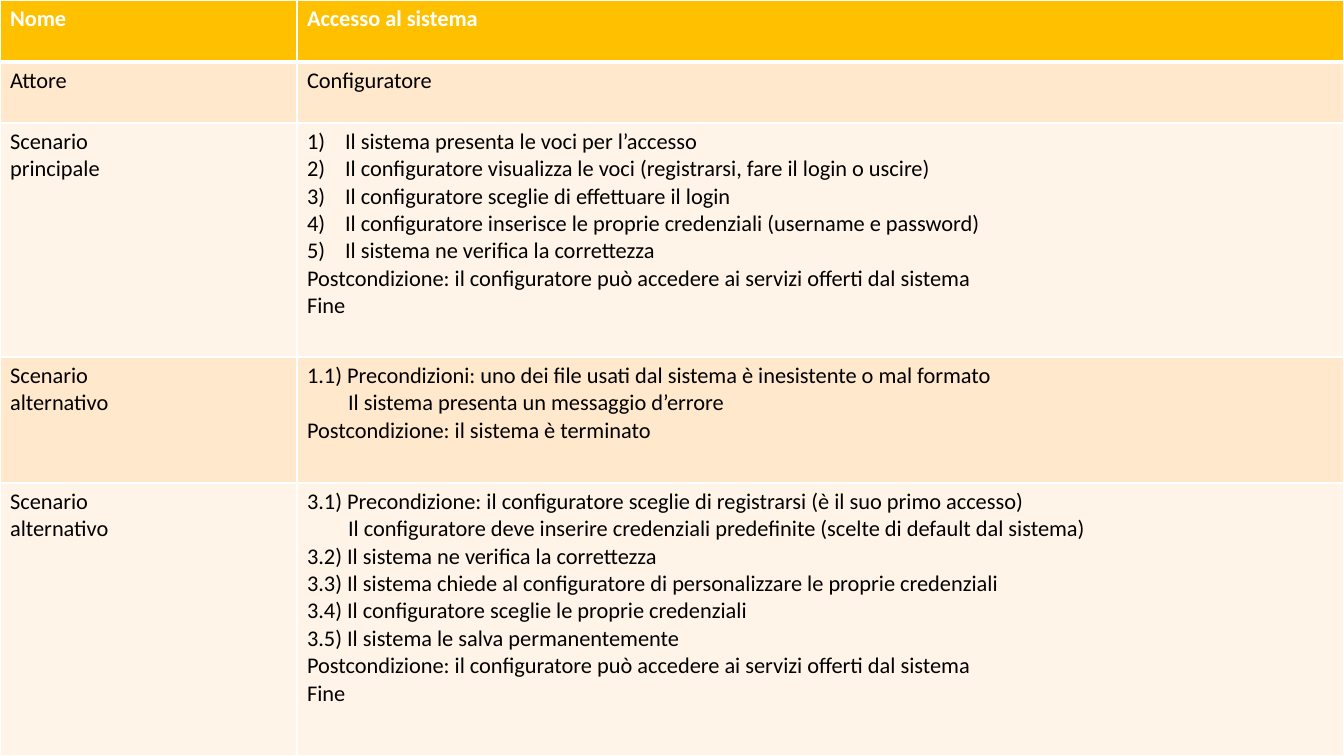
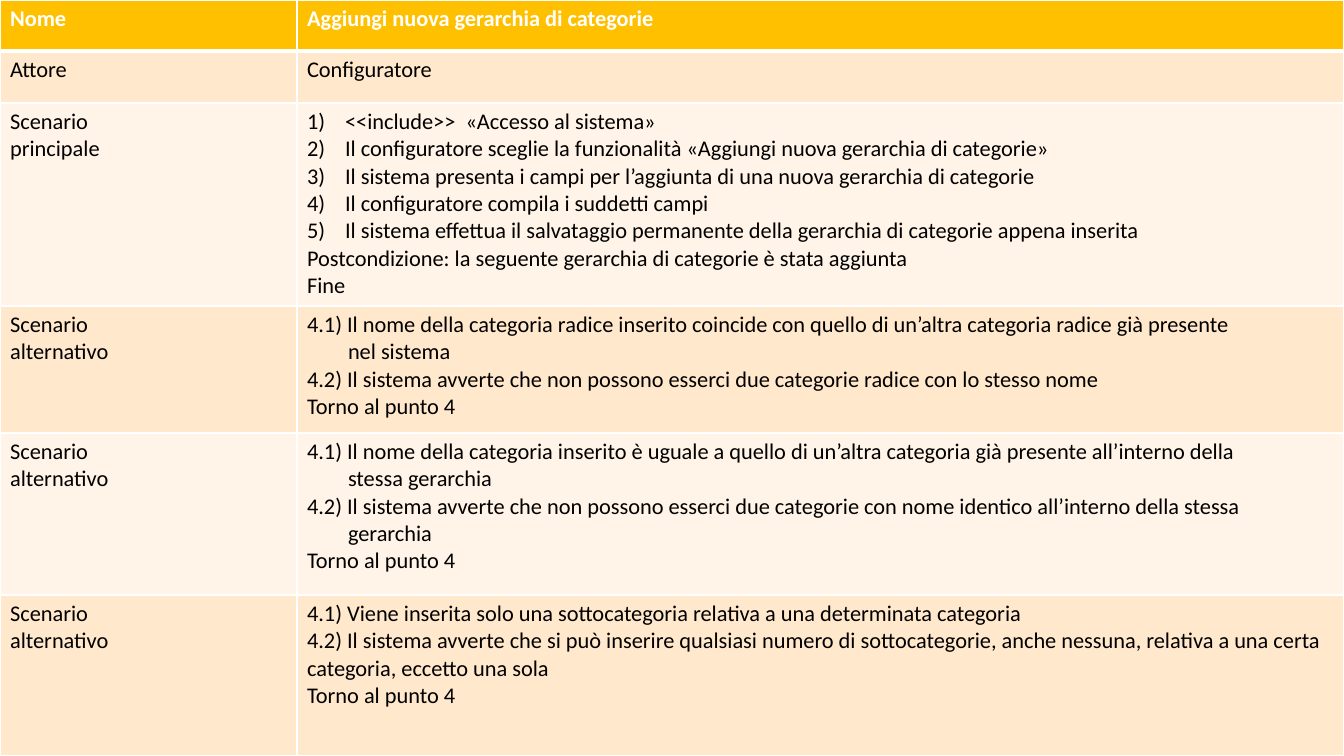
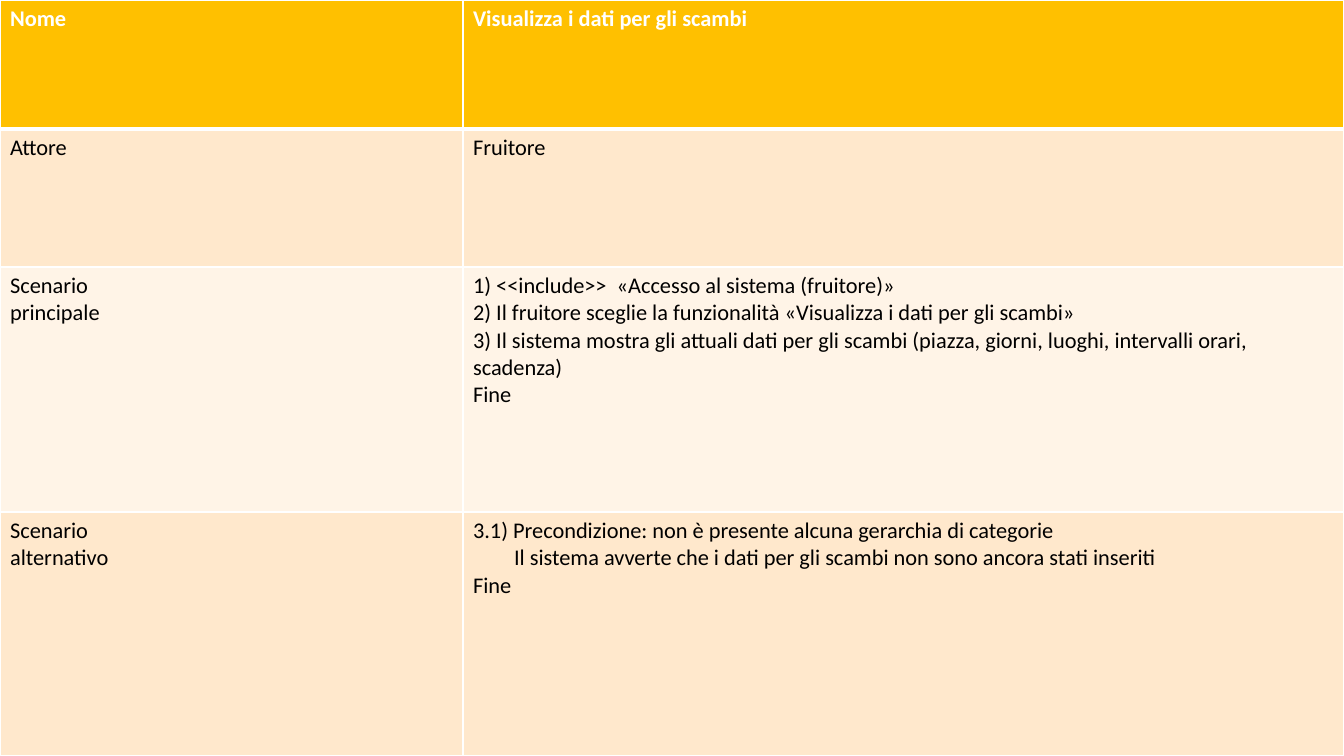
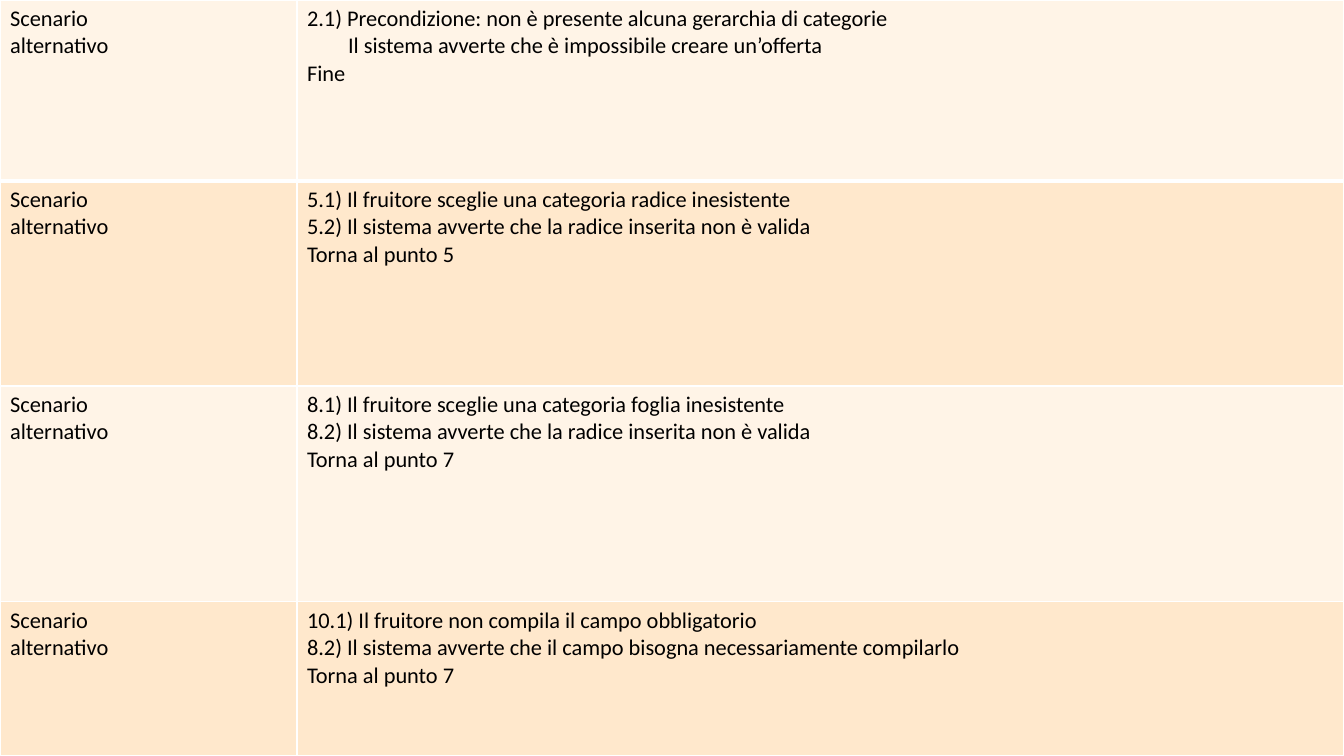
from lxml.etree import SubElement
from pptx import Presentation
from pptx.dml.color import RGBColor
from pptx.oxml.ns import qn
from pptx.util import Pt

EMU_PER_INCH = 914400
PX_PER_INCH = 100.8
SLIDE_WIDTH, SLIDE_HEIGHT = 1344, 756
BLANK_LAYOUT = 6

FONT = "Calibri"
FONT_SIZE = 16
GOLD, PEACH, CREAM = "FFC000", "FFE8CC", "FFF4E7"
WHITE, BLACK = "FFFFFF", "000000"
THIN, THICK = 1, 3
LIST_INDENT = 38
CONTINUATION_INDENT = 41

NARROW_LABELS = (297, 1047)
WIDE_LABELS = (463, 881)
MAIN = ["Scenario", "principale"]
ALTERNATIVE = ["Scenario", "alternativo"]


def px(length):
    return round(length * EMU_PER_INCH / PX_PER_INCH)


def color(hex_string):
    return RGBColor.from_string(hex_string)


def numbered(*lines):
    """Mark lines as steps of an automatically numbered list."""
    return [(line, {"indent": LIST_INDENT, "number": True}) for line in lines]


def continued(line):
    """Mark a line as indented under the step before it."""
    return line, {"indent": CONTINUATION_INDENT}


def write_text(paragraph, text, ink=BLACK, bold=False, indent=0, number=False):
    properties = paragraph._p.get_or_add_pPr()
    if indent:
        properties.set("marL", str(px(indent)))
    if number:
        properties.set("indent", str(-px(indent)))
        SubElement(properties, qn("a:buFont"), typeface=FONT)
        SubElement(properties, qn("a:buAutoNum"), type="arabicParenR")
    run = paragraph.add_run()
    run.text = text
    run.font.name = FONT
    run.font.size = Pt(FONT_SIZE)
    run.font.bold = bold
    run.font.color.rgb = color(ink)


def draw_borders(cell, top, bottom):
    properties = cell._tc.get_or_add_tcPr()
    for side, width in (("L", THIN), ("R", THIN), ("T", top), ("B", bottom)):
        line = SubElement(properties, qn(f"a:ln{side}"), w=str(Pt(width)))
        fill = SubElement(line, qn("a:solidFill"))
        SubElement(fill, qn("a:srgbClr"), val=WHITE)


def fill_cell(cell, lines, background, **text_format):
    cell.fill.solid()
    cell.fill.fore_color.rgb = color(background)
    frame = cell.text_frame
    for index, line in enumerate(lines):
        text, line_format = line if isinstance(line, tuple) else (line, {})
        paragraph = frame.add_paragraph() if index else frame.paragraphs[0]
        write_text(paragraph, text, **text_format, **line_format)


def add_use_case(slide, box, columns, rows, has_header=True):
    """Place a use-case table; each row is (height, label lines, content lines)."""
    left, top, width, height = map(px, box)
    table = slide.shapes.add_table(
        len(rows), len(columns), left, top, width, height).table
    table.first_row = has_header
    table.horz_banding = False
    for column, column_width in zip(table.columns, columns):
        column.width = px(column_width)
    for index, (row_height, *contents) in enumerate(rows):
        table.rows[index].height = px(row_height)
        is_header = has_header and index == 0
        background = GOLD if is_header else (CREAM, PEACH)[index % 2]
        for cell, lines in zip(table.rows[index].cells, contents):
            draw_borders(cell, top=THICK if index == 1 else THIN,
                         bottom=THICK if index == 0 else THIN)
            fill_cell(cell, lines, background, bold=is_header,
                      ink=WHITE if is_header else BLACK)


SYSTEM_ACCESS = [
    (62, ["Nome"], ["Accesso al sistema"]),
    (61, ["Attore"], ["Configuratore"]),
    (234, MAIN, [
        *numbered(
            "Il sistema presenta le voci per l’accesso",
            "Il configuratore visualizza le voci (registrarsi, fare il login o uscire)",
            "Il configuratore sceglie di effettuare il login",
            "Il configuratore inserisce le proprie credenziali (username e password)",
            "Il sistema ne verifica la correttezza"),
        "Postcondizione: il configuratore può accedere ai servizi offerti dal sistema",
        "Fine"]),
    (126, ALTERNATIVE, [
        "1.1) Precondizioni: uno dei file usati dal sistema è inesistente o mal formato",
        continued("Il sistema presenta un messaggio d’errore"),
        "Postcondizione: il sistema è terminato"]),
    (273, ALTERNATIVE, [
        "3.1) Precondizione: il configuratore sceglie di registrarsi (è il suo primo accesso)",
        continued("Il configuratore deve inserire credenziali predefinite "
                  "(scelte di default dal sistema)"),
        "3.2) Il sistema ne verifica la correttezza",
        "3.3) Il sistema chiede al configuratore di personalizzare le proprie credenziali",
        "3.4) Il configuratore sceglie le proprie credenziali",
        "3.5) Il sistema le salva permanentemente",
        "Postcondizione: il configuratore può accedere ai servizi offerti dal sistema",
        "Fine"]),
]

NEW_HIERARCHY = [
    (51, ["Nome"], ["Aggiungi nuova gerarchia di categorie"]),
    (52, ["Attore"], ["Configuratore"]),
    (203, MAIN, [
        *numbered(
            "<<include>>  «Accesso al sistema»",
            "Il configuratore sceglie la funzionalità «Aggiungi nuova gerarchia di categorie»",
            "Il sistema presenta i campi per l’aggiunta di una nuova gerarchia di categorie",
            "Il configuratore compila i suddetti campi",
            "Il sistema effettua il salvataggio permanente della gerarchia "
            "di categorie appena inserita"),
        "Postcondizione: la seguente gerarchia di categorie è stata aggiunta",
        "Fine"]),
    (127, ALTERNATIVE, [
        "4.1) Il nome della categoria radice inserito coincide con quello "
        "di un’altra categoria radice già presente",
        continued("nel sistema"),
        "4.2) Il sistema avverte che non possono esserci due categorie radice "
        "con lo stesso nome",
        "Torno al punto 4"]),
    (162, ALTERNATIVE, [
        "4.1) Il nome della categoria inserito è uguale a quello "
        "di un’altra categoria già presente all’interno della",
        continued("stessa gerarchia"),
        "4.2) Il sistema avverte che non possono esserci due categorie "
        "con nome identico all’interno della stessa",
        continued("gerarchia"),
        "Torno al punto 4"]),
    (161, ALTERNATIVE, [
        "4.1) Viene inserita solo una sottocategoria relativa a una determinata categoria",
        "4.2) Il sistema avverte che si può inserire qualsiasi numero di sottocategorie, "
        "anche nessuna, relativa a una certa categoria, eccetto una sola",
        "Torno al punto 4"]),
]

EXCHANGE_DATA = [
    (129, ["Nome"], ["Visualizza i dati per gli scambi"]),
    (138, ["Attore"], ["Fruitore"]),
    (245, MAIN, [
        "1) <<include>>  «Accesso al sistema (fruitore)»",
        "2) Il fruitore sceglie la funzionalità «Visualizza i dati per gli scambi»",
        "3) Il sistema mostra gli attuali dati per gli scambi "
        "(piazza, giorni, luoghi, intervalli orari, scadenza)",
        "Fine"]),
    (244, ALTERNATIVE, [
        "3.1) Precondizione: non è presente alcuna gerarchia di categorie",
        continued("Il sistema avverte che i dati per gli scambi non sono ancora stati inseriti"),
        "Fine"]),
]

OFFER_ALTERNATIVES = [
    (181, ALTERNATIVE, [
        "2.1) Precondizione: non è presente alcuna gerarchia di categorie",
        continued("Il sistema avverte che è impossibile creare un’offerta"),
        "Fine"]),
    (205, ALTERNATIVE, [
        "5.1) Il fruitore sceglie una categoria radice inesistente",
        "5.2) Il sistema avverte che la radice inserita non è valida",
        "Torna al punto 5"]),
    (216, ALTERNATIVE, [
        "8.1) Il fruitore sceglie una categoria foglia inesistente",
        "8.2) Il sistema avverte che la radice inserita non è valida",
        "Torna al punto 7"]),
    (154, ALTERNATIVE, [
        "10.1) Il fruitore non compila il campo obbligatorio",
        "8.2) Il sistema avverte che il campo bisogna necessariamente compilarlo",
        "Torna al punto 7"]),
]


def main():
    deck = Presentation()
    deck.slide_width, deck.slide_height = px(SLIDE_WIDTH), px(SLIDE_HEIGHT)
    full_slide = (0, 0, SLIDE_WIDTH, SLIDE_HEIGHT)
    for columns, rows, has_header in (
            (NARROW_LABELS, SYSTEM_ACCESS, True),
            (NARROW_LABELS, NEW_HIERARCHY, True),
            (WIDE_LABELS, EXCHANGE_DATA, True),
            (NARROW_LABELS, OFFER_ALTERNATIVES, False)):
        slide = deck.slides.add_slide(deck.slide_layouts[BLANK_LAYOUT])
        add_use_case(slide, full_slide, columns, rows, has_header)
    deck.save("out.pptx")


if __name__ == "__main__":
    main()
